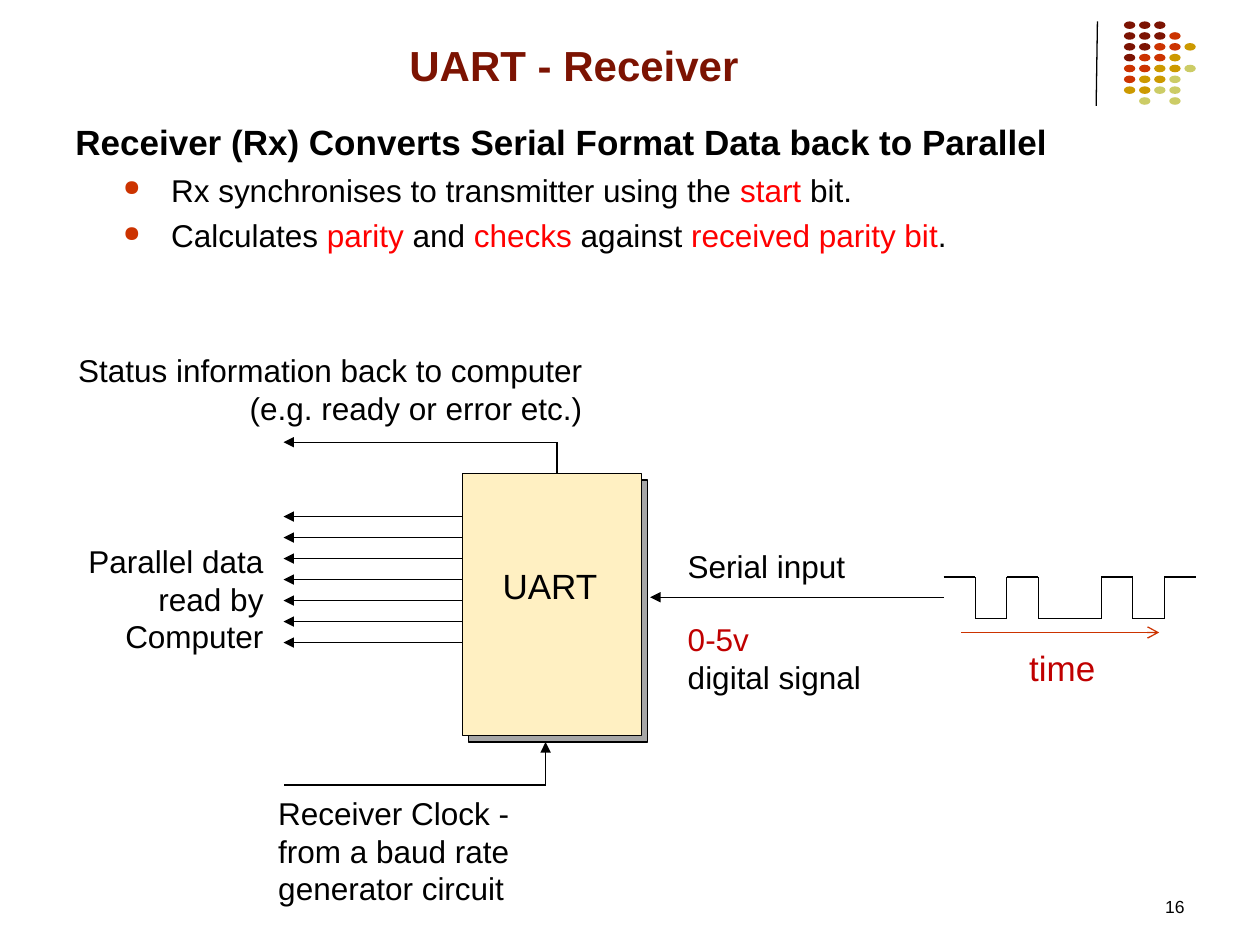
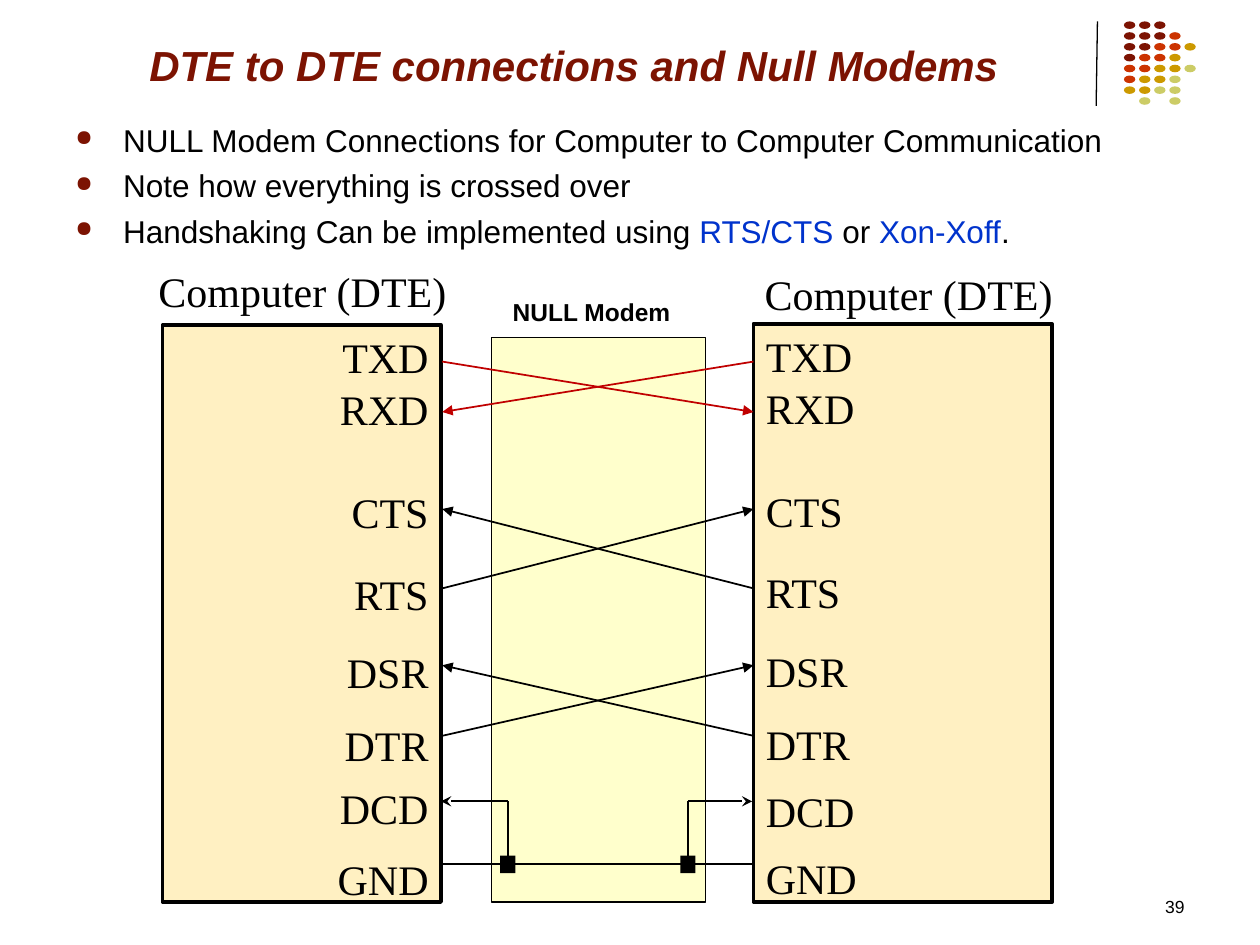
from lxml import etree
from pptx import Presentation
from pptx.dml.color import RGBColor
from pptx.enum.shapes import MSO_CONNECTOR, MSO_SHAPE
from pptx.enum.text import MSO_ANCHOR, PP_ALIGN
from pptx.oxml.ns import qn
from pptx.util import Inches, Pt

STRAIGHT = MSO_CONNECTOR.STRAIGHT
RECT, OVAL = MSO_SHAPE.RECTANGLE, MSO_SHAPE.OVAL
LEFT, CENTER, RIGHT = PP_ALIGN.LEFT, PP_ALIGN.CENTER, PP_ALIGN.RIGHT
TOP, BOTTOM = MSO_ANCHOR.TOP, MSO_ANCHOR.BOTTOM

BLACK = RGBColor(0x00, 0x00, 0x00)
MAROON = RGBColor(0x7C, 0x13, 0x02)
RUST = RGBColor(0xCC, 0x33, 0x00)
OCHRE = RGBColor(0xCC, 0x99, 0x00)
OLIVE = RGBColor(0xCC, 0xCC, 0x66)
RED = RGBColor(0xFF, 0x00, 0x00)
DARK_RED = RGBColor(0xC0, 0x00, 0x00)
BLUE = RGBColor(0x00, 0x33, 0xCC)
GREY = RGBColor(0xA6, 0xA6, 0xA6)
CREAM = RGBColor(0xFF, 0xF0, 0xC2)
PALE_YELLOW = RGBColor(0xFF, 0xFF, 0xCC)

SANS, SERIF = "Arial", "Times New Roman"
BODY_GAP = 4.4  # points before each body paragraph

DOT_COLOURS = {"M": MAROON, "R": RUST, "O": OCHRE, "G": OLIVE}
DOT_ROWS = ["MMM", "MMMR", "MMRRO", "MRRO", "RROOG", "ROOG", "OOGG", " G G"]


# ---- Helpers ----
def add_bullet(paragraph, colour, margin, size=70):
    props = paragraph._p.get_or_add_pPr()
    props.set("marL", str(Inches(margin)))
    props.set("indent", str(Inches(-0.38)))
    bullet_colour = etree.SubElement(props, qn("a:buClr"))
    etree.SubElement(bullet_colour, qn("a:srgbClr"), val=str(colour))
    etree.SubElement(props, qn("a:buSzPct"), val=str(size * 1000))
    etree.SubElement(props, qn("a:buChar"), char="●")


def write(paragraph, content, *, size=18, font=SANS, colour=BLACK, bold=False,
          italic=False, align=LEFT, before=0):
    """Content is a string or a list of strings and (string, colour) pairs."""
    paragraph.alignment = align
    paragraph.space_before = Pt(before)
    for part in [content] if isinstance(content, str) else content:
        words, shade = (part, colour) if isinstance(part, str) else part
        run = paragraph.add_run()
        run.text = words
        run.font.size, run.font.name = Pt(size), font
        run.font.bold, run.font.italic = bold, italic
        run.font.color.rgb = shade
    return paragraph


def next_paragraph(frame):
    first = frame.paragraphs[0]
    return first if not first.runs else frame.add_paragraph()


def add_frame(slide, box, anchor=TOP, wrap=True):
    frame = slide.shapes.add_textbox(*map(Inches, box)).text_frame
    frame.word_wrap = wrap
    frame.vertical_anchor = anchor
    return frame


def add_label(slide, box, *lines, anchor=TOP, wrap=True, **style):
    frame = add_frame(slide, box, anchor, wrap)
    for line in lines:
        write(next_paragraph(frame), line, **style)


def add_block(slide, box, fill, line=None, kind=RECT):
    block = slide.shapes.add_shape(kind, *map(Inches, box))
    block.shadow.inherit = False
    block.fill.solid()
    block.fill.fore_color.rgb = fill
    if line:
        block.line.color.rgb = BLACK
        block.line.width = Pt(line)
    else:
        block.line.fill.background()
    return block


def add_line(slide, start, end, colour=BLACK, width=0.75, arrow=None):
    line = slide.shapes.add_connector(STRAIGHT, *map(Inches, (*start, *end)))
    line.line.color.rgb = colour
    line.line.width = Pt(width)
    if arrow:
        etree.SubElement(line.line._get_or_add_ln(), qn("a:tailEnd"), type=arrow)
    etree.SubElement(line._element.spPr, qn("a:effectLst"))
    return line


# ---- Shared slide parts ----
def add_dot_ornament(slide, left, top):
    for row, codes in enumerate(DOT_ROWS):
        for column, code in enumerate(codes):
            if code in DOT_COLOURS:
                box = (left + column * 0.12, top + row * 0.086, 0.09, 0.06)
                add_block(slide, box, DOT_COLOURS[code], kind=OVAL)


def start_slide(deck, title, number, italic=False):
    slide = deck.slides.add_slide(deck.slide_layouts[6])
    add_line(slide, (8.71, 0.17), (8.7, 0.84))
    add_dot_ornament(slide, 8.92, 0.17)
    add_label(slide, (0.43, 0.21, 8.25, 0.55), title, size=24, colour=MAROON,
              bold=True, italic=italic, align=CENTER, anchor=BOTTOM)
    add_label(slide, (7.17, 7.06, 2.33, 0.28), number, size=10, align=RIGHT)
    return slide


def add_body(slide, box, bullets, bullet_colour, margin, heading=None):
    frame = add_frame(slide, box)
    if heading:
        write(next_paragraph(frame), heading, size=20, bold=True, before=BODY_GAP)
    for bullet in bullets:
        paragraph = write(next_paragraph(frame), bullet, before=BODY_GAP)
        add_bullet(paragraph, bullet_colour, margin)


# ---- UART receiver ----
def add_uart_chip(slide, left, top, width, height):
    shadow_offset = 0.05
    add_block(slide, (left + shadow_offset, top + shadow_offset, width, height),
              GREY, 0.75)
    add_block(slide, (left, top, width, height), CREAM, 0.75)
    add_label(slide, (left + 0.22, top + 0.67, 0.97, 0.44), "UART", size=20,
              wrap=False)


def add_computer_side(slide, chip_left, chip_top, chip_bottom):
    arrow_end = chip_left - 1.42
    # Status line
    status_x, status_y = chip_left + 0.75, chip_top - 0.25
    add_line(slide, (status_x, status_y), (arrow_end, status_y), arrow="triangle")
    add_line(slide, (status_x, status_y), (status_x, chip_top))
    add_label(slide, (0.42, status_y - 0.77, 4.3, 0.71),
              "Status information back to computer (e.g. ready or error etc.)",
              align=RIGHT)
    # Parallel data lines
    for bit in range(7):
        y = chip_top + 0.34 + bit / 6
        add_line(slide, (chip_left, y), (arrow_end, y), arrow="triangle")
    add_label(slide, (0.42, chip_top + 0.49, 1.77, 1.01),
              "Parallel data read by Computer", align=RIGHT)
    # Receiver clock
    clock_x, clock_y = chip_left + 0.66, chip_bottom + 0.39
    add_line(slide, (clock_x, clock_y), (clock_x, chip_bottom + 0.05),
             arrow="triangle")
    add_line(slide, (clock_x, clock_y), (arrow_end, clock_y))
    add_label(slide, (arrow_end - 0.14, clock_y + 0.02, 2.45, 1.01),
              "Receiver Clock - from a baud rate generator circuit")


def add_waveform(slide, left, top, bits, bit_width=0.25, height=0.33):
    for index, bit in enumerate(bits):
        x = left + index * bit_width
        y = top if bit == "1" else top + height
        add_line(slide, (x, y), (x + bit_width, y))
        if index and bit != bits[index - 1]:
            add_line(slide, (x, top + height), (x, top))
    # Time axis
    axis_y = top + height + 0.11
    add_line(slide, (left + 0.14, axis_y), (left + 1.71, axis_y), RUST,
             arrow="arrow")
    add_label(slide, (left + 0.58, axis_y + 0.06, 0.88, 0.44), "time", size=20,
              colour=DARK_RED)


def add_serial_side(slide, left, y):
    line_end = left + 2.33
    add_line(slide, (line_end, y), (left, y), arrow="triangle")
    add_label(slide, (left + 0.2, y - 0.45, 2.08, 0.4), "Serial input")
    add_label(slide, (left + 0.2, y + 0.13, 2.09, 0.71),
              [("0-5v", DARK_RED)], "digital signal")
    add_waveform(slide, line_end, y - 0.16, "10100101")


def build_receiver_slide(deck):
    slide = start_slide(deck, "UART - Receiver", "16")
    bullets = [
        ["Rx synchronises to transmitter using the ", ("start", RED), " bit."],
        ["Calculates ", ("parity", RED), " and ", ("checks", RED), " against ",
         ("received parity bit", RED), "."],
    ]
    add_body(slide, (0.5, 0.91, 9, 2.42), bullets, RUST, 0.76,
             "Receiver (Rx) Converts Serial Format Data back to Parallel")
    left, top, width, height = 3.67, 3.76, 1.42, 2.08
    add_uart_chip(slide, left, top, width, height)
    add_computer_side(slide, left, top, top + height)
    add_serial_side(slide, left + width + 0.07, 4.74)


# ---- Null modem ----
PINS = ["TXD", "RXD", "CTS", "RTS", "DSR", "DTR", "DCD", "GND"]
LEFT_PIN_GAPS = [0, 1, 30, 18, 16, 13, 7, 12]
RIGHT_PIN_GAPS = [0, 1, 30, 18, 16, 13, 9.5, 9.5]
PIN_Y = {"TXD": 2.87, "RXD": 3.27, "CTS": 4.04, "RTS": 4.67, "DSR": 5.28,
         "DTR": 5.84, "DCD": 6.36, "GND": 6.86}
CROSSINGS = [("TXD", "RXD", DARK_RED), ("RTS", "CTS", BLACK),
             ("DTR", "DSR", BLACK)]


def add_computer(slide, box, pin_gaps, align, caption_box, caption_align):
    computer = add_block(slide, box, CREAM, 2)
    frame = computer.text_frame
    frame.word_wrap = True
    frame.vertical_anchor = TOP
    for pin, gap in zip(PINS, pin_gaps):
        write(next_paragraph(frame), pin, size=24, font=SERIF, align=align,
              before=gap)
    add_label(slide, caption_box, "Computer (DTE)", size=24, font=SERIF,
              align=caption_align, wrap=False)


def add_crossed_wires(slide, left, right):
    for source, target, colour in CROSSINGS:
        for start, end in ((left, right), (right, left)):
            add_line(slide, (start, PIN_Y[source]), (end, PIN_Y[target]), colour,
                     1, "triangle")


def add_ground_wires(slide, left, right):
    ground, carrier = PIN_Y["GND"], PIN_Y["DCD"]
    add_line(slide, (left, ground), (right, ground), width=1)
    # Carrier detect tied to ground on each side
    for tap, end in ((left + 0.53, left), (right - 0.51, right)):
        junction = add_block(slide, (tap - 0.06, ground - 0.07, 0.12, 0.14), BLACK)
        riser = add_line(slide, (tap, carrier), (tap, ground - 0.07), width=1)
        riser.end_connect(junction, 0)
        add_line(slide, (tap, carrier), (end, carrier), width=1, arrow="stealth")


def build_null_modem_slide(deck):
    slide = start_slide(deck, "DTE to DTE connections and Null Modems", "39",
                        italic=True)
    add_block(slide, (3.9, 2.68, 1.7, 4.48), PALE_YELLOW, 0.75)
    bullets = [
        "NULL Modem Connections for Computer to Computer Communication",
        "Note how everything is crossed over",
        ["Handshaking Can be implemented using ", ("RTS/CTS", BLUE), " or ",
         ("Xon-Xoff", BLUE), "."],
    ]
    add_body(slide, (0.5, 0.91, 9, 5.79), bullets, MAROON, 0.38)
    add_computer(slide, (1.29, 2.58, 2.21, 4.58), LEFT_PIN_GAPS, RIGHT,
                 (1.14, 2.06, 2.52, 0.5), CENTER)
    add_computer(slide, (5.98, 2.57, 2.37, 4.59), RIGHT_PIN_GAPS, LEFT,
                 (5.97, 2.08, 2.53, 0.51), LEFT)
    add_crossed_wires(slide, 3.51, 5.98)
    add_ground_wires(slide, 3.5, 5.97)
    add_label(slide, (3.97, 2.31, 1.51, 0.34), "NULL Modem", size=14, bold=True)


def main():
    deck = Presentation()
    deck.slide_width, deck.slide_height = Inches(10), Inches(7.5)
    build_receiver_slide(deck)
    build_null_modem_slide(deck)
    deck.save("out.pptx")


if __name__ == "__main__":
    main()
